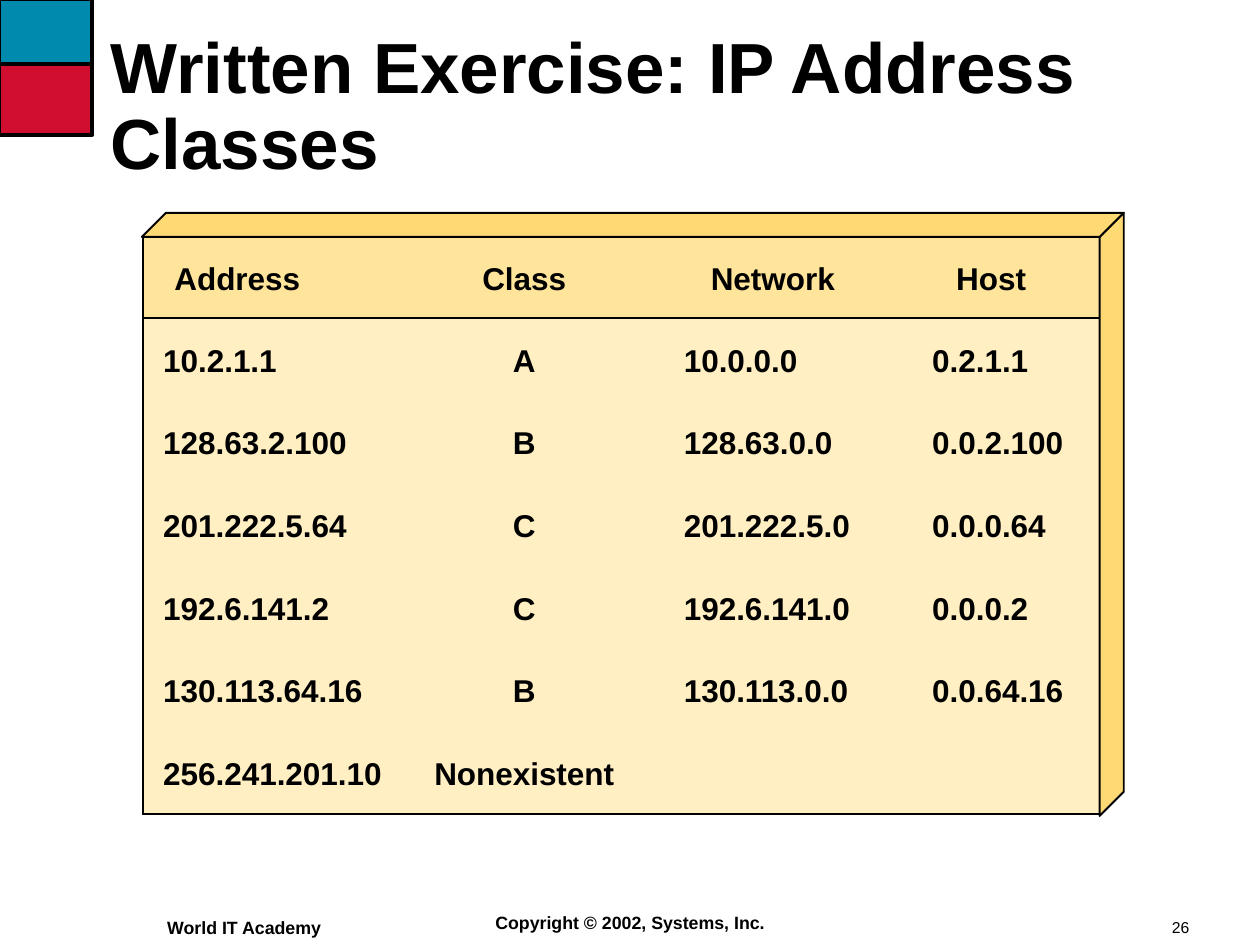
import pptx
import pptx.dml.color
import pptx.enum.shapes
import pptx.enum.text
import pptx.oxml.ns
import pptx.util
from lxml import etree

Inches, Pt = pptx.util.Inches, pptx.util.Pt
RGB = pptx.dml.color.RGBColor
ALIGN, ANCHOR = pptx.enum.text.PP_ALIGN, pptx.enum.text.MSO_ANCHOR
SHAPE = pptx.enum.shapes.MSO_SHAPE
qn = pptx.oxml.ns.qn

BLACK = RGB(0x00, 0x00, 0x00)
TEAL = RGB(0x00, 0x8A, 0xAE)
RED = RGB(0xCF, 0x0E, 0x30)
BODY_FILL = RGB(0xFF, 0xEF, 0xC2)
HEADER_FILL = RGB(0xFF, 0xE5, 0x9B)
BEVEL_FILL = RGB(0xFF, 0xDA, 0x74)

ROWS = [
    ("Address", "Class", "Network", "Host"),
    ("10.2.1.1", "A", "10.0.0.0", "0.2.1.1"),
    ("128.63.2.100", "B", "128.63.0.0", "0.0.2.100"),
    ("201.222.5.64", "C", "201.222.5.0", "0.0.0.64"),
    ("192.6.141.2", "C", "192.6.141.0", "0.0.0.2"),
    ("130.113.64.16", "B", "130.113.0.0", "0.0.64.16"),
    ("256.241.201.10", "Nonexistent", "", ""),
]
# width, header indent, body indent, alignment
COLUMNS = [
    (1.88, 0.22, 0.14, ALIGN.LEFT),
    (1.61, 0, 0, ALIGN.CENTER),
    (1.67, 0.51, 0.32, ALIGN.LEFT),
    (1.58, 0.57, 0.4, ALIGN.LEFT),
]
HEADER_HEIGHT = 0.57
BEVEL = 0.17
EDGE = 0.01


def write(tf, text, size=16, bold=True, align=ALIGN.LEFT, spacing=1.0):
    p = tf.paragraphs[0]
    p.alignment = align
    p.line_spacing = spacing
    r = p.add_run()
    r.text = text
    r.font.name = "Arial"
    r.font.size = Pt(size)
    r.font.bold = bold
    r.font.color.rgb = BLACK


def text_box(s, box, text, inset=(0.1, 0.05), anchor=ANCHOR.TOP, **fmt):
    tf = s.shapes.add_textbox(*map(Inches, box)).text_frame
    tf.word_wrap = True
    tf.vertical_anchor = anchor
    tf.margin_left = tf.margin_right = Inches(inset[0])
    tf.margin_top = tf.margin_bottom = Inches(inset[1])
    write(tf, text, **fmt)


def style(sp, fill, width=1):
    sp.shadow.inherit = False
    if fill is None:
        sp.fill.background()
    else:
        sp.fill.solid()
        sp.fill.fore_color.rgb = fill
    sp.line.color.rgb = BLACK
    sp.line.width = Pt(width)


def outline(s, points, fill=None, width=1, close=True):
    start, *rest = [(Inches(x), Inches(y)) for x, y in points]
    builder = s.shapes.build_freeform(*start)
    builder.add_line_segments(rest, close=close)
    style(builder.convert_to_shape(), fill, width)


def corner_mark(s, box):
    x, y, w, h = box
    middle = y + 0.45
    for top, bottom, colour in ((y, middle, TEAL), (middle, y + h, RED)):
        sp = s.shapes.add_shape(SHAPE.RECTANGLE, Inches(x), Inches(top),
                                Inches(w), Inches(bottom - top))
        style(sp, colour)
    divider = s.shapes.add_connector(
        pptx.enum.shapes.MSO_CONNECTOR.STRAIGHT,
        Inches(x), Inches(middle), Inches(x + w), Inches(middle))
    divider.line.color.rgb = BLACK
    divider.line.width = Pt(2)
    etree.SubElement(divider.element.spPr, qn("a:effectLst"))
    outline(s, [(x, y + h), (x + w, y + h), (x + w, y)], width=2, close=False)


def set_borders(cell, drawn):
    """Draw the sides named in drawn, of L, R, T and B, and clear the others."""
    tc_pr = cell._tc.get_or_add_tcPr()
    for side in "LRTB":
        ln = etree.SubElement(tc_pr, qn("a:ln" + side), w=str(Pt(1)))
        if side in drawn:
            fill = etree.SubElement(ln, qn("a:solidFill"))
            etree.SubElement(fill, qn("a:srgbClr"), val=str(BLACK))
        else:
            etree.SubElement(ln, qn("a:noFill"))


def fill_cell(cell, text, row, col):
    _, header_indent, body_indent, align = COLUMNS[col]
    is_header = row == 0
    sides = {"L": col == 0, "R": col == len(COLUMNS) - 1, "T": row <= 1,
             "B": row in (0, len(ROWS) - 1)}
    set_borders(cell, [side for side, shown in sides.items() if shown])
    cell.fill.solid()
    cell.fill.fore_color.rgb = HEADER_FILL if is_header else BODY_FILL
    cell.vertical_anchor = ANCHOR.MIDDLE
    cell.margin_left = Inches(header_indent if is_header else body_indent)
    cell.margin_right = 0
    cell.margin_top, cell.margin_bottom = Inches(0.07), Inches(0.03)
    write(cell.text_frame, text, align=align, spacing=0.95)


def address_table(s, box):
    table = s.shapes.add_table(len(ROWS), len(COLUMNS), *map(Inches, box)).table
    table.horz_banding = False
    for column, (width, *_) in zip(table.columns, COLUMNS):
        column.width = Inches(width)
    body_height = (box[3] - HEADER_HEIGHT) / (len(ROWS) - 1)
    for i, (row, texts) in enumerate(zip(table.rows, ROWS)):
        row.height = Inches(body_height if i else HEADER_HEIGHT)
        for j, text in enumerate(texts):
            fill_cell(table.cell(i, j), text, i, j)


def address_block(s, box):
    """Table on the front of a block with bevelled top and right faces."""
    x, y, w, h = box
    front_right, right = x + w - BEVEL, x + w
    front_top, bottom = y + BEVEL, y + h
    address_table(s, (x + EDGE, front_top, w - BEVEL - EDGE, h - BEVEL - EDGE))
    outline(s, [(right, y), (front_right, front_top), (front_right, bottom),
                (right, bottom - BEVEL)], BEVEL_FILL)
    outline(s, [(x, front_top), (x + BEVEL, y), (right, y),
                (front_right, front_top)], BEVEL_FILL)


def footer(s, box):
    x, y, w, h = box
    text_box(s, (x, y + 0.03, 1.32, h), "World IT Academy", size=9)
    text_box(s, (x + 2.11, y, 2.5, h), "Copyright © 2002, Systems, Inc.",
             size=9, align=ALIGN.CENTER)
    text_box(s, (x + w - 0.67, y + 0.05, 0.67, 0.21), "26",
             inset=(0.08, 0.04), size=8, bold=False)


def main():
    prs = pptx.Presentation()
    prs.slide_width, prs.slide_height = Inches(8.88), Inches(6.66)
    s = prs.slides.add_slide(prs.slide_layouts[6])
    corner_mark(s, (0, 0, 0.65, 0.95))
    text_box(s, (0.7, 0.21, 7.74, 1.11), "Written Exercise: IP Address Classes",
             inset=(0.08, 0.04), anchor=ANCHOR.MIDDLE, size=36, spacing=0.9)
    address_block(s, (1, 1.5, 6.92, 4.25))
    footer(s, (1.08, 6.38, 7.77, 0.24))
    prs.save("out.pptx")


if __name__ == "__main__":
    main()
